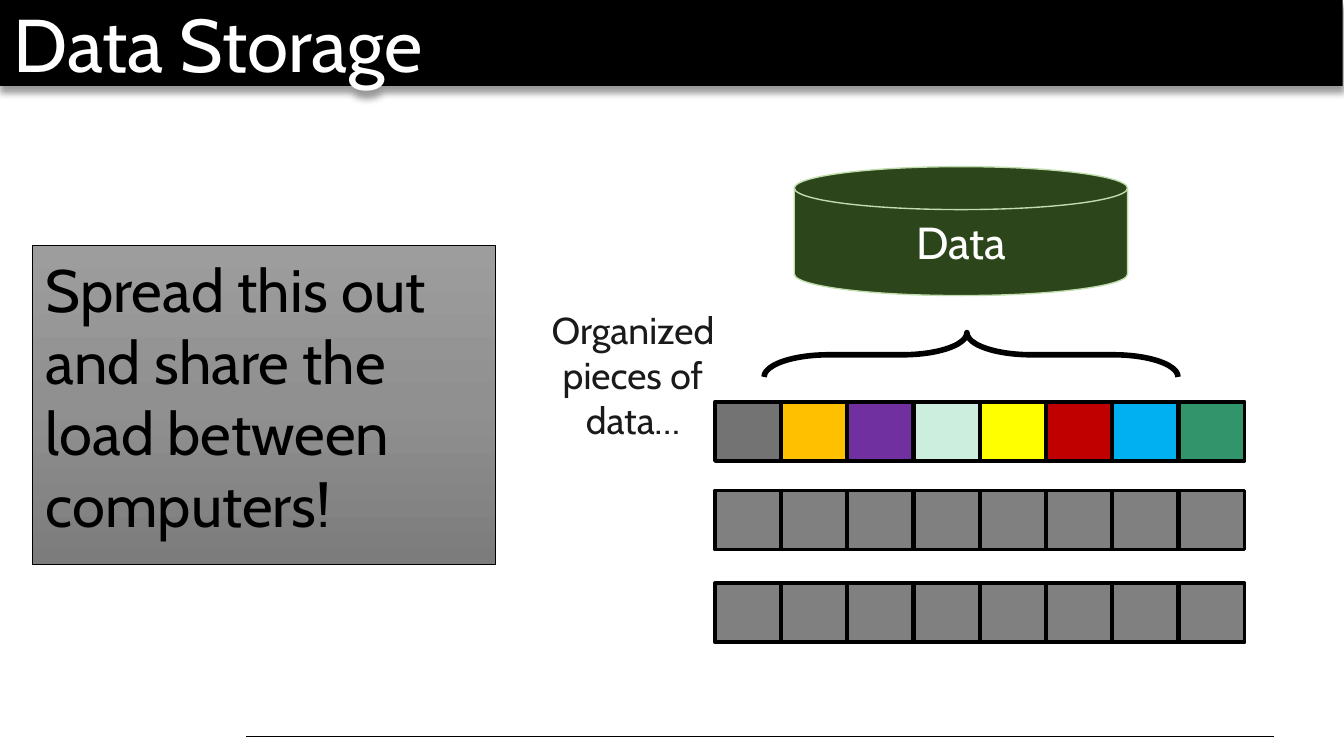
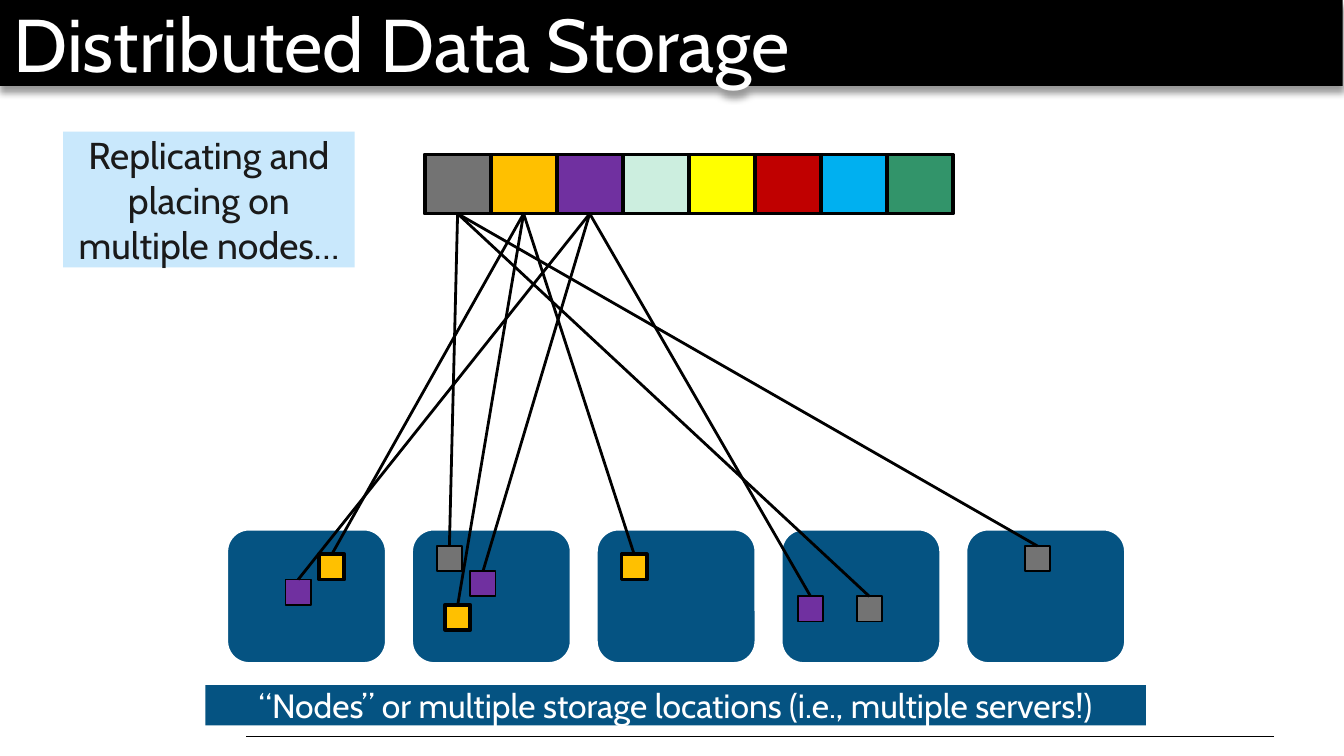
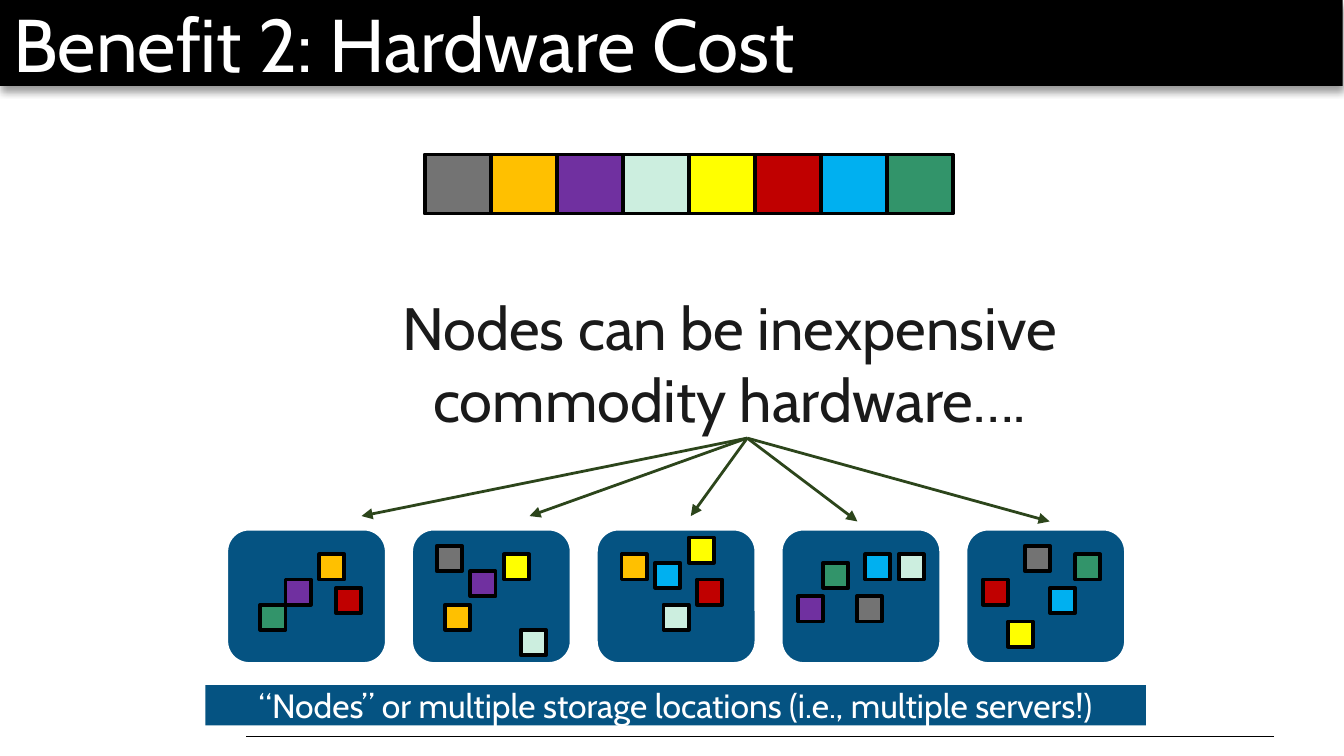
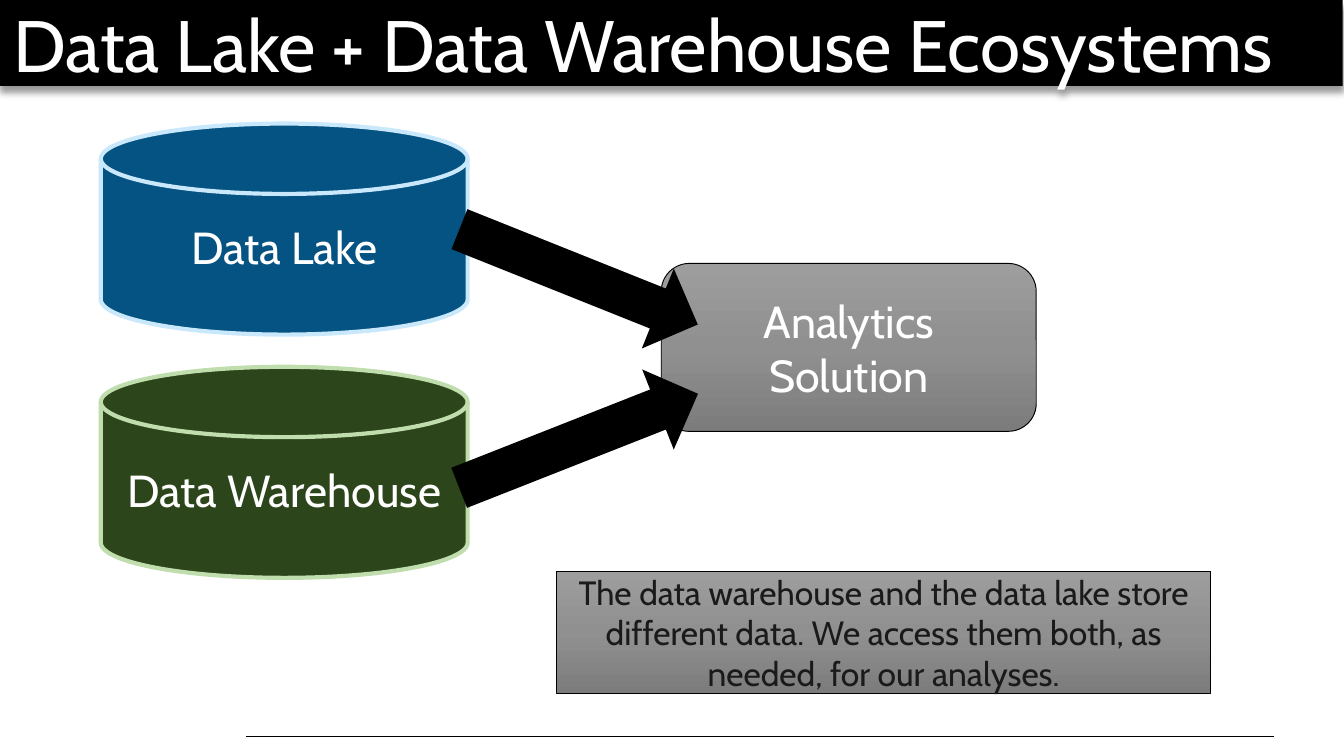
from copy import deepcopy

from lxml import etree
from pptx import Presentation
from pptx.dml.color import RGBColor
from pptx.enum.shapes import MSO_CONNECTOR as Connector
from pptx.enum.shapes import MSO_SHAPE as Shape
from pptx.enum.text import MSO_ANCHOR as Anchor
from pptx.enum.text import MSO_AUTO_SIZE as AutoSize
from pptx.enum.text import PP_ALIGN as Align
from pptx.oxml.ns import qn
from pptx.util import Inches, Pt

FONT = "Cabin"
COLORS = {
    "black": "000000", "white": "FFFFFF", "ink": "1A1A1A",
    "blue": "055382", "pale_blue": "C9E8FC",
    "forest": "2C451B", "pale_green": "C0DDAD",
    "grey": "737373", "amber": "FFC000", "violet": "7030A0", "mint": "CCEEDF",
    "yellow": "FFFF00", "red": "C00000", "sky": "00B0F0", "green": "32946A",
    "blank": "808080",
    "steel_light": "9D9D9D", "steel": "909090", "steel_dark": "7C7C7C",
}
STEEL_STOPS = [(0, "steel_light"), (0.5, "steel"), (1, "steel_dark")]

# The eight pieces of data, in row order
PIECES = ["grey", "amber", "violet", "mint", "yellow", "red", "sky", "green"]
CELL_WIDTH, CELL_HEIGHT, ROW_WIDTH = 0.49, 0.44, 3.94
ROW_BOX = (3.16, 1.15, 3.93, CELL_HEIGHT)

# Nodes and their copies sit on a grid of sixteenths of an inch
GRID = 1 / 16
NODE_WIDTH, COPY_SIZE = 19 * GRID, 3 * GRID
NODES_BOX = (27 * GRID, 63 * GRID, 107 * GRID, 16 * GRID)

# Copies held by each node: piece -> grid steps from the node's corner
NODE_COPIES = [
    {"amber": (11, 3), "violet": (7, 6), "red": (13, 7), "green": (4, 9)},
    {"grey": (3, 2), "amber": (4, 9), "violet": (7, 5), "mint": (13, 12),
     "yellow": (11, 3)},
    {"amber": (3, 3), "mint": (8, 9), "yellow": (11, 1), "red": (12, 6),
     "sky": (7, 4)},
    {"grey": (9, 8), "violet": (2, 8), "mint": (14, 3), "sky": (10, 3),
     "green": (5, 4)},
    {"grey": (7, 2), "yellow": (5, 11), "red": (2, 6), "sky": (10, 7),
     "green": (13, 3)},
]


def rgb(name):
    return RGBColor.from_string(COLORS[name])


def place(shape, box):
    shape.left, shape.top, shape.width, shape.height = map(Inches, box)


def set_line(shape, color=None, width=1):
    if color is None:
        shape.line.fill.background()
    else:
        shape.line.color.rgb = rgb(color)
        shape.line.width = Pt(width)


def set_fill(shape, color=None):
    """Fill with a named colour, the steel gradient, or nothing."""
    if color is None:
        shape.fill.background()
    elif color == "gradient":
        shape.fill.gradient()
        shape.fill.gradient_angle = 270
        stop_list = shape._element.spPr.find(qn("a:gradFill")).find(qn("a:gsLst"))
        stop_list.append(deepcopy(stop_list[0]))
        for stop, (position, name) in zip(shape.fill.gradient_stops, STEEL_STOPS):
            stop.position = position
            stop.color.rgb = rgb(name)
    else:
        shape.fill.solid()
        shape.fill.fore_color.rgb = rgb(color)


def write(shape, text, size=24, color="white", align=Align.CENTER,
          anchor=Anchor.MIDDLE, inset=None, auto_size=AutoSize.NONE,
          bullet=True, space_after=0):
    frame = shape.text_frame
    frame.text = text
    frame.word_wrap = True
    frame.auto_size = auto_size
    frame.vertical_anchor = anchor
    if inset is not None:
        frame.margin_left = frame.margin_right = Inches(inset)
        frame.margin_top = frame.margin_bottom = Inches(inset)
    paragraph = frame.paragraphs[0]
    if not bullet:
        properties = paragraph._p.get_or_add_pPr()
        properties.set("marL", "0")
        properties.set("indent", "0")
        etree.SubElement(properties, qn("a:buNone"))
    paragraph.alignment = align
    paragraph.space_before = Pt(0)
    paragraph.space_after = Pt(space_after)
    font = paragraph.runs[0].font
    font.name, font.size, font.color.rgb = FONT, Pt(size), rgb(color)


def add_shape(slide, kind, box, fill=None, line=None, line_width=1, rotation=0):
    shape = slide.shapes.add_shape(kind, *map(Inches, box))
    shape.shadow.inherit = False
    shape.rotation = rotation
    set_fill(shape, fill)
    set_line(shape, line, line_width)
    return shape


def add_label(slide, text, box, size, color="ink", fill="white", line=None):
    label = slide.shapes.add_textbox(*map(Inches, box))
    set_fill(label, fill)
    set_line(label, line, 0.5)
    write(label, text, size=size, color=color, inset=0,
          auto_size=AutoSize.SHAPE_TO_FIT_TEXT)


def add_line(slide, start, end, color="black", width=1.5, arrow=False):
    line = slide.shapes.add_connector(
        Connector.STRAIGHT, *map(Inches, (*start, *end)))
    set_line(line, color, width)
    if arrow:
        etree.SubElement(line.line._get_or_add_ln(), qn("a:tailEnd"), type="triangle")
    etree.SubElement(line._element.spPr, qn("a:effectLst"))
    return line


def add_band_shadow(shape):
    effects = etree.SubElement(shape._element.spPr, qn("a:effectLst"))
    shadow = etree.SubElement(
        effects, qn("a:outerShdw"), blurRad=str(Pt(4)), dist=str(Pt(3)),
        dir="5400000", algn="t", rotWithShape="0")
    color = etree.SubElement(shadow, qn("a:srgbClr"), val=COLORS["black"])
    etree.SubElement(color, qn("a:alpha"), val="40000")


def add_footer_rule(presentation):
    """Draw the footer rule once and hand it to the slide master."""
    rule = add_line(presentation.slides[0], (9.48, 5.48), (1.83, 5.48), width=0.5)
    presentation.slide_master.shapes._spTree.append(rule._element)


def start_slide(presentation, title, layout=5, title_size=40):
    """Add a slide with the title band."""
    slide = presentation.slides.add_slide(presentation.slide_layouts[layout])
    band = slide.shapes.title
    place(band, (0, 0, 9.99, 0.64))
    set_fill(band, "black")
    add_band_shadow(band)
    write(band, title, size=title_size, align=Align.LEFT)
    return slide


def add_data_row(slide, box, colors):
    """Draw a row of cells and return them by colour."""
    left, top, width, height = box
    pitch = (width - CELL_WIDTH) / (len(colors) - 1)
    return {
        color: add_shape(slide, Shape.RECTANGLE,
                         (left + index * pitch, top, CELL_WIDTH, height),
                         color, "black", 2)
        for index, color in enumerate(colors)
    }


def add_nodes(slide, box, pieces, thin=()):
    """Draw the nodes, their caption and copies; return (piece, copy) pairs."""
    left, top, width, height = box
    pitch = (width - NODE_WIDTH) / (len(NODE_COPIES) - 1)
    copies = []
    for index, offsets in enumerate(NODE_COPIES):
        node_left = left + index * pitch
        add_shape(slide, Shape.ROUNDED_RECTANGLE,
                  (node_left, top, NODE_WIDTH, height), "blue", "white", 1.5)
        for piece, (across, down) in offsets.items():
            if piece in pieces:
                copy_box = (node_left + across * GRID, top + down * GRID,
                            COPY_SIZE, COPY_SIZE)
                copies.append((piece, add_shape(
                    slide, Shape.RECTANGLE, copy_box, piece, "black",
                    1 if piece in thin else 2)))
    add_label(slide, "“Nodes” or multiple storage locations (i.e., multiple servers!)",
              (left - 0.16, top + 1.16, 7, 0.3), 18, "white", "blue")
    return copies


def add_disk(slide, text, box, fill, line, line_width=2.25):
    disk = add_shape(slide, Shape.FLOWCHART_MAGNETIC_DISK, box, fill, line, line_width)
    write(disk, text)


def build_storage(presentation):
    slide = start_slide(presentation, "Data Storage", layout=1)
    # Message
    body = slide.placeholders[1]
    place(body, (0.24, 1.83, 3.45, 2.37))
    set_fill(body, "gradient")
    set_line(body, "black", 0.5)
    write(body, "Spread this out and share the load between computers!",
          size=32, color="black", align=Align.LEFT, anchor=Anchor.TOP,
          bullet=False, space_after=12)
    # Data and its pieces
    add_label(slide, "Organized pieces of data…", (4.01, 2.28, 1.4, 1.01), 20)
    add_disk(slide, "Data", (5.91, 1.24, 2.48, 0.96), "forest", "pale_green", 0.75)
    brace = add_shape(slide, Shape.LEFT_BRACE, (7.06, 1.1, 0.33, 3.08),
                      line="black", line_width=3, rotation=90)
    brace.adjustments[0], brace.adjustments[1] = 1.46, 0.51
    blanks = ["blank"] * len(PIECES)
    for top, colors in [(2.99, PIECES), (3.65, blanks), (4.34, blanks)]:
        add_data_row(slide, (5.32, top, ROW_WIDTH, CELL_HEIGHT), colors)


def build_distribution(presentation):
    slide = start_slide(presentation, "Distributed Data Storage")
    add_label(slide, "Replicating and placing on multiple nodes…",
              (0.47, 0.98, 2.17, 1.01), 20, fill="pale_blue")
    cells = add_data_row(slide, ROW_BOX, PIECES)
    copies = add_nodes(slide, NODES_BOX, PIECES[:3], thin=("grey", "violet"))
    # Each piece to its copies
    for piece, copy_shape in copies:
        line = add_line(slide, (0, 0), (1, 1))
        line.begin_connect(cells[piece], 2)
        line.end_connect(copy_shape, 0)


def build_hardware_cost(presentation):
    slide = start_slide(presentation, "Benefit 2: Hardware Cost")
    add_data_row(slide, ROW_BOX, PIECES)
    add_nodes(slide, NODES_BOX, PIECES)
    add_label(slide, "Nodes can be inexpensive commodity hardware….",
              (2.33, 2.16, 6.2, 1.08), 32)
    # Arrows to the nodes
    for end in [(2.69, 3.84), (3.94, 3.84), (5.14, 3.84), (6.38, 3.88), (7.81, 3.88)]:
        add_line(slide, (5.56, 3.26), end, "forest", arrow=True)


def build_ecosystems(presentation):
    slide = start_slide(presentation, "Data Lake + Data Warehouse Ecosystems",
                        title_size=39)
    # Stores
    add_disk(slide, "Data Warehouse", (0.75, 2.73, 2.73, 1.57), "forest", "pale_green")
    add_disk(slide, "Data Lake", (0.75, 0.92, 2.73, 1.57), "blue", "pale_blue")
    # Explanation
    add_label(slide, "The data warehouse and the data lake store different data. "
              "We access them both, as needed, for our analyses.",
              (4.14, 4.25, 4.87, 0.91), 18, fill="gradient", line="black")
    # Analytics and the arrows into it
    solution = add_shape(slide, Shape.ROUNDED_RECTANGLE, (4.92, 1.96, 2.79, 1.25),
                         "gradient", "black", 0.5)
    write(solution, "Analytics Solution")
    for top, rotation in [(2.96, 338.5), (1.74, 21.8)]:
        add_shape(slide, Shape.RIGHT_ARROW, (3.35, top, 1.91, 0.64), "black",
                  rotation=rotation)


def main():
    presentation = Presentation()
    presentation.slide_width = Inches(10)
    presentation.slide_height = Inches(10 * 9 / 16)
    for build in (build_storage, build_distribution,
                  build_hardware_cost, build_ecosystems):
        build(presentation)
    add_footer_rule(presentation)
    presentation.save("out.pptx")


if __name__ == "__main__":
    main()
